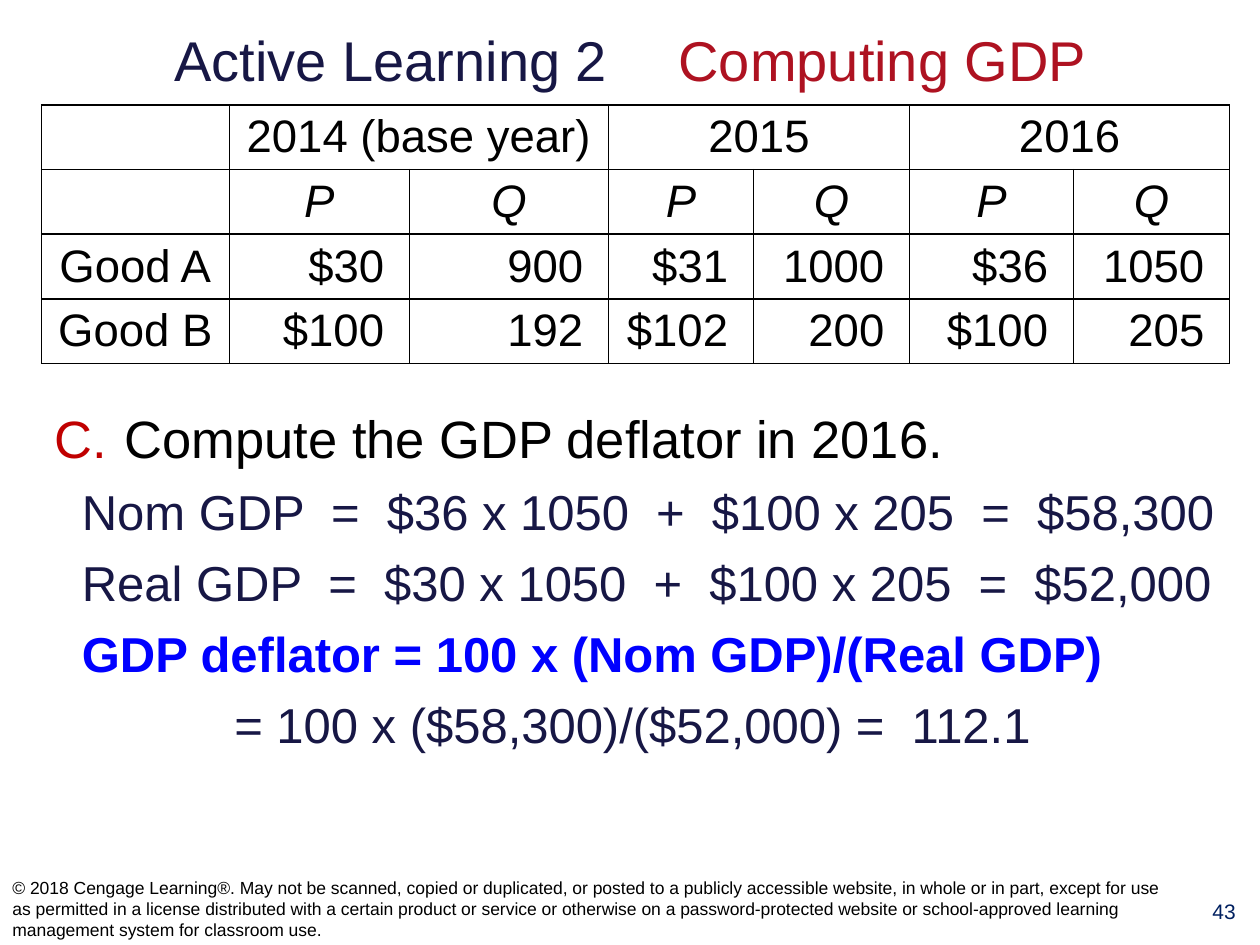
import dataclasses

import lxml.etree
import pptx
import pptx.dml.color
import pptx.enum.text
import pptx.oxml.ns
import pptx.util

COLORS = {
    "black": "000000",
    "white": "FFFFFF",
    "navy": "171745",
    "crimson": "AE1221",
    "red": "C00000",
    "blue": "0000FF",
    "number": "002060",
}
FONT = "Arial"
ALIGN = pptx.enum.text.PP_ALIGN
ANCHOR = pptx.enum.text.MSO_ANCHOR
Inches = pptx.util.Inches
SLIDE_WIDTH, SLIDE_HEIGHT = Inches(10), Inches(7.5)


@dataclasses.dataclass(frozen=True)
class Area:
    """A rectangle in percent of the slide's width and height."""
    left: float
    top: float
    width: float
    height: float

    def lengths(self) -> tuple[int, int, int, int]:
        return (int(self.left * SLIDE_WIDTH / 100), int(self.top * SLIDE_HEIGHT / 100),
                int(self.width * SLIDE_WIDTH / 100), int(self.height * SLIDE_HEIGHT / 100))


@dataclasses.dataclass(frozen=True)
class Line:
    """A line of the worked answer; indent in inches."""
    text: str
    indent: float = 0.22
    size: float = 28
    color: str = "navy"
    bold: bool = False
    numbered: bool = False


TITLE_AREA = Area(1.7, 1.5, 96.7, 9.6)
TABLE_AREA = Area(3.3, 11.1, 94.3, 27)
BODY_AREA = Area(3.3, 42.3, 95, 51.9)
NUMBER_AREA = Area(94.3, 94.4, 5.7, 5.5)
COPYRIGHT_AREA = Area(0, 92.3, 94.1, 7.7)

COLUMN_WIDTHS = [1.49, 1.43, 1.58, 1.15, 1.24, 1.3, 1.24]
YEARS = ["2014 (base year)", "2015", "2016"]
TABLE_ROWS = [
    [""] + [text for year in YEARS for text in (year, "")],
    [""] + ["P", "Q"] * len(YEARS),
    ["Good A", "$30", "900", "$31", "1000", "$36", "1050"],
    ["Good B", "$100", "192", "$102", "200", "$100", "205"],
]
ANSWER = [
    Line("Compute the GDP deflator in 2016.", 0.56, 30, "black", numbered=True),
    Line("Nom GDP  =  $36 x 1050  +  $100 x 205  =  $58,300"),
    Line("Real GDP  =  $30 x 1050  +  $100 x 205  =  $52,000"),
    Line("GDP deflator = 100 x (Nom GDP)/(Real GDP)", color="blue", bold=True),
    Line("= 100 x ($58,300)/($52,000) =  112.1", 1.43),
]
COPYRIGHT = (
    "© 2018 Cengage Learning®. May not be scanned, copied or duplicated, or posted to a "
    "publicly accessible website, in whole or in part, except for use as permitted in a "
    "license distributed with a certain product or service or otherwise on a "
    "password-protected website or school-approved learning management system for "
    "classroom use."
)


def add_text(paragraph, text: str, *, size: float, color: str = "black",
             align=ALIGN.LEFT, bold: bool = False, italic: bool = False) -> None:
    paragraph.alignment = align
    run = paragraph.add_run()
    run.text = text
    run.font.name = FONT
    run.font.size = pptx.util.Pt(size)
    run.font.bold = bold
    run.font.italic = italic
    run.font.color.rgb = pptx.dml.color.RGBColor.from_string(COLORS[color])


def add_element(parent, tag: str, **attributes: str):
    return lxml.etree.SubElement(parent, pptx.oxml.ns.qn(tag), attributes)


def place(shape, area: Area) -> None:
    shape.left, shape.top, shape.width, shape.height = area.lengths()


def set_indent(paragraph, line: Line) -> None:
    """Set the indent, and the red letter C on a numbered line."""
    properties = paragraph._p.get_or_add_pPr()
    properties.set("marL", str(Inches(line.indent)))
    properties.set("indent", str(-Inches(line.indent) if line.numbered else 0))
    if line.numbered:
        bullet_color = add_element(properties, "a:buClr")
        add_element(bullet_color, "a:srgbClr", val=COLORS["red"])
        add_element(properties, "a:buFont", typeface=FONT)
        add_element(properties, "a:buAutoNum", type="alphaUcPeriod", startAt="3")
    else:
        add_element(properties, "a:buNone")


def set_borders(cell) -> None:
    properties = cell._tc.get_or_add_tcPr()
    for index, side in enumerate(("a:lnL", "a:lnR", "a:lnT", "a:lnB")):
        border = lxml.etree.Element(pptx.oxml.ns.qn(side), w=str(pptx.util.Pt(1)))
        fill = add_element(border, "a:solidFill")
        add_element(fill, "a:srgbClr", val=COLORS["black"])
        properties.insert(index, border)


def add_title(slide) -> None:
    title = slide.shapes.title
    place(title, TITLE_AREA)
    frame = title.text_frame
    frame.word_wrap = False
    frame.auto_size = pptx.enum.text.MSO_AUTO_SIZE.NONE
    frame.vertical_anchor = ANCHOR.MIDDLE
    paragraph = frame.paragraphs[0]
    add_text(paragraph, "Active Learning 2\t\t", size=32, color="navy", align=ALIGN.CENTER)
    add_text(paragraph, "Computing GDP", size=32, color="crimson", align=ALIGN.CENTER)


def add_answer(slide) -> None:
    body = slide.placeholders[1]
    place(body, BODY_AREA)
    frame = body.text_frame
    frame.auto_size = pptx.enum.text.MSO_AUTO_SIZE.NONE
    for index, line in enumerate(ANSWER):
        paragraph = frame.add_paragraph() if index else frame.paragraphs[0]
        set_indent(paragraph, line)
        paragraph.space_before = pptx.util.Pt(7 if index else 0)
        add_text(paragraph, line.text, size=line.size, color=line.color, bold=line.bold)


def add_price_table(slide) -> None:
    table = slide.shapes.add_table(len(TABLE_ROWS), len(COLUMN_WIDTHS),
                                   *TABLE_AREA.lengths()).table
    table.first_row = table.horz_banding = False
    for column, width in zip(table.columns, COLUMN_WIDTHS):
        column.width = Inches(width)
    for row_index, texts in enumerate(TABLE_ROWS):
        for column_index, text in enumerate(texts):
            cell = table.cell(row_index, column_index)
            is_number = row_index > 1 and column_index > 0
            cell.vertical_anchor = ANCHOR.MIDDLE
            cell.margin_top = cell.margin_bottom = Inches(0.04)
            cell.margin_left = Inches(0.05)
            cell.margin_right = Inches(0.2 if is_number else 0.05)
            cell.fill.solid()
            cell.fill.fore_color.rgb = pptx.dml.color.RGBColor.from_string(COLORS["white"])
            set_borders(cell)
            if text:
                add_text(cell.text_frame.paragraphs[0], text, size=26,
                         italic=row_index == 1,
                         align=ALIGN.RIGHT if is_number else ALIGN.CENTER)
    for column_index in range(1, len(COLUMN_WIDTHS), 2):
        table.cell(0, column_index).merge(table.cell(0, column_index + 1))


def add_note(slide, area: Area, text: str, *, anchor=ANCHOR.TOP, **text_format) -> None:
    frame = slide.shapes.add_textbox(*area.lengths()).text_frame
    frame.word_wrap = True
    frame.vertical_anchor = anchor
    add_text(frame.paragraphs[0], text, **text_format)


def main() -> None:
    presentation = pptx.Presentation()
    presentation.slide_width, presentation.slide_height = SLIDE_WIDTH, SLIDE_HEIGHT
    slide = presentation.slides.add_slide(presentation.slide_layouts[1])
    add_title(slide)
    add_answer(slide)
    add_note(slide, NUMBER_AREA, "43", size=12, color="number", align=ALIGN.CENTER)
    add_note(slide, COPYRIGHT_AREA, COPYRIGHT, anchor=ANCHOR.MIDDLE, size=10)
    add_price_table(slide)
    presentation.save("out.pptx")


if __name__ == "__main__":
    main()
